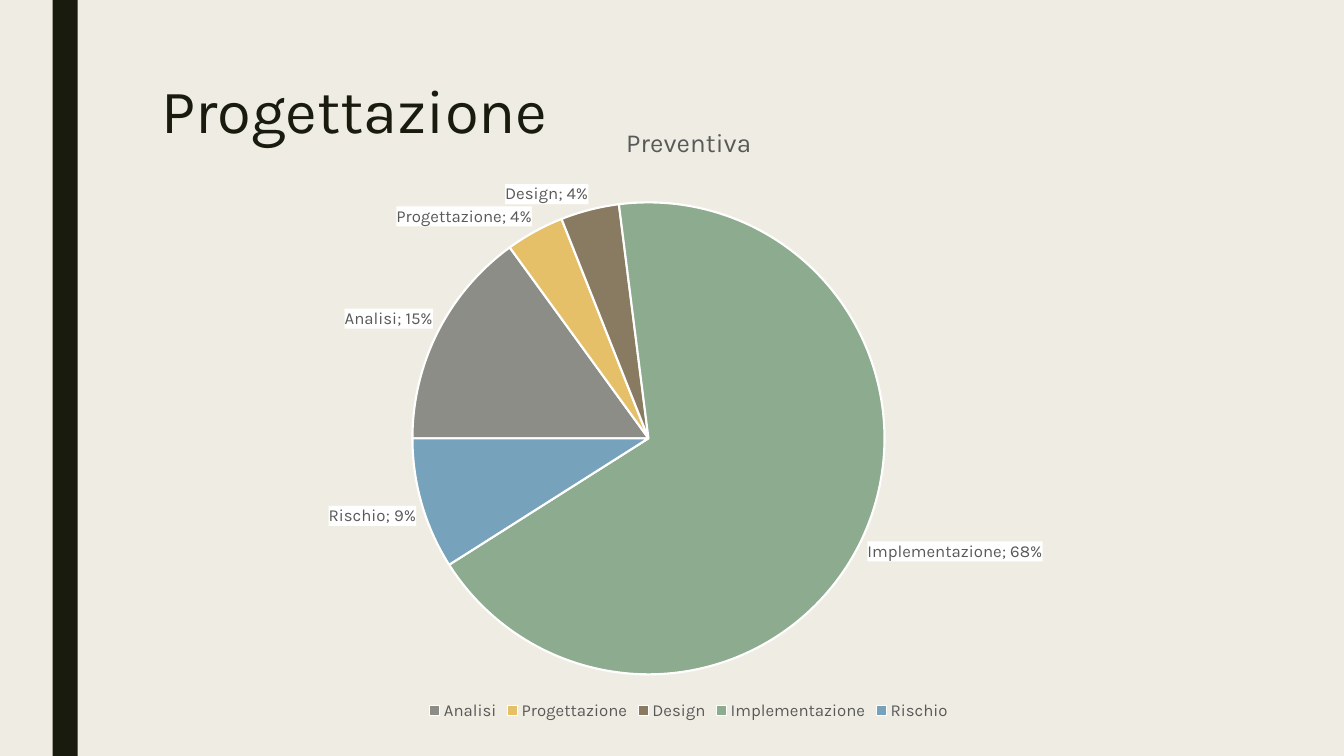
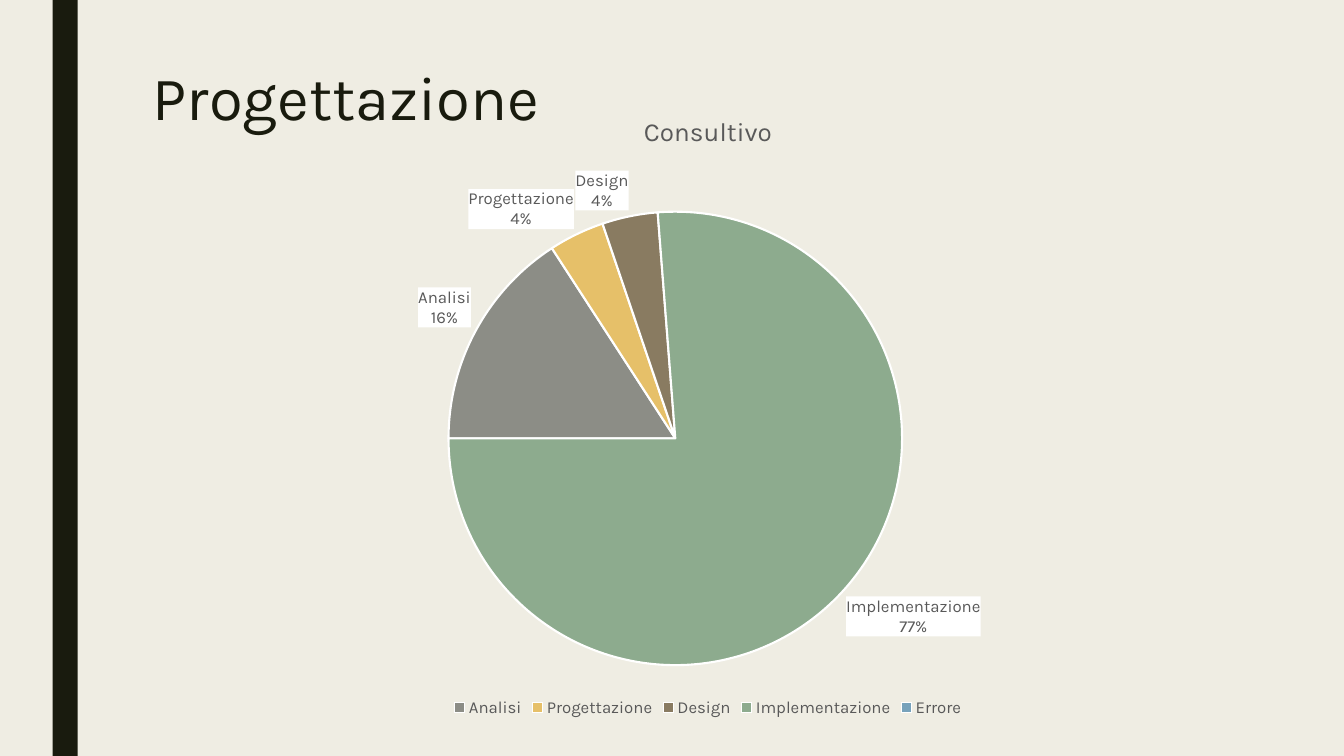
from pptx import Presentation
from pptx.chart.data import CategoryChartData
from pptx.dml.color import RGBColor
from pptx.enum.chart import XL_CHART_TYPE, XL_LABEL_POSITION, XL_LEGEND_POSITION
from pptx.enum.shapes import MSO_SHAPE
from pptx.enum.text import MSO_ANCHOR
from pptx.oxml import parse_xml
from pptx.oxml.ns import nsdecls
from pptx.util import Inches, Pt

COLUMNS, ROWS = 160, 90
WIDTH, HEIGHT = Inches(13.33), Inches(7.5)
FONT = "Karla"
PAPER = RGBColor(0xEF, 0xED, 0xE3)
INK = RGBColor(0x19, 0x1B, 0x0E)
GREY = RGBColor(0x59, 0x59, 0x59)
WHITE = RGBColor(0xFF, 0xFF, 0xFF)
SLICES = (
    RGBColor(0x8C, 0x8D, 0x86),
    RGBColor(0xE6, 0xC0, 0x69),
    RGBColor(0x89, 0x7B, 0x61),
    RGBColor(0x8D, 0xAB, 0x8E),
    RGBColor(0x77, 0xA2, 0xBB),
)
PHASES = ("Analisi", "Progettazione", "Design", "Implementazione")


def place(box):
    """Turn a box of grid columns and rows into slide lengths."""
    left, top, width, height = box
    return (
        round(left * WIDTH / COLUMNS),
        round(top * HEIGHT / ROWS),
        round(width * WIDTH / COLUMNS),
        round(height * HEIGHT / ROWS),
    )


def style_font(font, size, color):
    """Give a font the deck's typeface with a size and colour."""
    font.name = FONT
    font.size = Pt(size)
    font.bold = False
    font.color.rgb = color


def add_text(frame, text, size, color, line_spacing=None):
    """Write one formatted paragraph into a text frame."""
    para = frame.paragraphs[0]
    para.line_spacing = line_spacing
    span = para.add_run()
    span.text = text
    style_font(span.font, size, color)


def add_band(page, box):
    """Draw the dark vertical band."""
    band = page.shapes.add_shape(MSO_SHAPE.RECTANGLE, *place(box))
    band.shadow.inherit = False
    band.fill.solid()
    band.fill.fore_color.rgb = INK
    band.line.fill.background()


def add_title(page, box, text):
    """Write the slide title at the top of its box."""
    frame = page.shapes.add_textbox(*place(box)).text_frame
    frame.word_wrap = True
    frame.vertical_anchor = MSO_ANCHOR.TOP
    add_text(frame, text, 44, INK, line_spacing=0.89)


def set_plot_layout(chart, box, pie):
    """Fix the pie's square as shares of the chart box."""
    left, top, width, height = box
    pie_left, pie_top, size = pie
    shares = {
        "x": (pie_left - left) / width,
        "y": (pie_top - top) / height,
        "w": size / width,
        "h": size / height,
    }
    values = "".join(f'<c:{key} val="{share:.4f}"/>' for key, share in shares.items())
    plot_area = chart.element.xpath(".//c:plotArea")[0]
    for layout in plot_area.xpath("./c:layout"):
        plot_area.remove(layout)
    plot_area.insert(0, parse_xml(
        f'<c:layout {nsdecls("c")}><c:manualLayout><c:layoutTarget val="inner"/>'
        f'<c:xMode val="edge"/><c:yMode val="edge"/>{values}</c:manualLayout></c:layout>'
    ))


def set_first_angle(chart, degrees):
    """Rotate the start of the first slice."""
    pie = chart.element.xpath(".//c:pieChart")[0]
    for angle in pie.xpath("./c:firstSliceAng"):
        pie.remove(angle)
    pie.append(parse_xml(f'<c:firstSliceAng {nsdecls("c")} val="{degrees}"/>'))


def add_labels(chart, series, separator):
    """Label each slice that is not empty on a white ground."""
    labels = series.data_labels
    labels.show_category_name = True
    labels.show_value = True
    labels.show_percentage = False
    labels.number_format = '0"%"'
    labels.number_format_is_linked = False
    labels.position = XL_LABEL_POSITION.OUTSIDE_END
    style_font(labels.font, 12, GREY)
    node = chart.element.xpath(".//c:ser/c:dLbls")[0]
    node.xpath("./c:txPr")[0].addprevious(parse_xml(
        f'<c:spPr {nsdecls("c", "a")}><a:solidFill><a:srgbClr val="{WHITE}"/>'
        '</a:solidFill></c:spPr>'
    ))
    node.xpath("./c:showBubbleSize")[0].addnext(
        parse_xml(f'<c:separator {nsdecls("c")}>{separator}</c:separator>')
    )
    empty = [index for index, value in enumerate(series.values) if not value]
    for position, index in enumerate(empty):
        node.insert(position, parse_xml(
            f'<c:dLbl {nsdecls("c")}><c:idx val="{index}"/><c:delete val="1"/></c:dLbl>'
        ))


def add_pie(page, box, pie, name, categories, values, separator):
    """Add a pie chart with title, legend and slice labels."""
    data = CategoryChartData()
    data.categories = categories
    data.add_series(name, values)
    chart = page.shapes.add_chart(XL_CHART_TYPE.PIE, *place(box), data).chart
    style_font(chart.font, 10, GREY)
    chart.has_title = True
    add_text(chart.chart_title.text_frame, name, 18.6, GREY)
    chart.has_legend = True
    chart.legend.position = XL_LEGEND_POSITION.BOTTOM
    chart.legend.include_in_layout = False
    style_font(chart.legend.font, 12, GREY)
    plot = chart.plots[0]
    plot.vary_by_categories = True
    series = plot.series[0]
    for index, color in enumerate(SLICES):
        slice_format = series.points[index].format
        slice_format.fill.solid()
        slice_format.fill.fore_color.rgb = color
        slice_format.line.color.rgb = WHITE
        slice_format.line.width = Pt(1.5)
    add_labels(chart, series, separator)
    set_first_angle(chart, 270)
    set_plot_layout(chart, box, pie)


def add_chart_page(deck, title_at, **chart):
    """Build one slide with band, title and pie chart."""
    page = deck.slides.add_slide(deck.slide_layouts[6])
    page.background.fill.solid()
    page.background.fill.fore_color.rgb = PAPER
    add_band(page, (6.25, 0, 3, ROWS))
    add_title(page, (*title_at, 126, 19.5), "Progettazione")
    add_pie(page, **chart)


def main():
    """Build and save the deck."""
    deck = Presentation()
    deck.slide_width, deck.slide_height = WIDTH, HEIGHT
    add_chart_page(
        deck, (18, 9), box=(9.5, 12.25, 145, 74), pie=(49.1, 24.1, 56.2),
        name="Preventiva", categories=(*PHASES, "Rischio"),
        values=(15, 4, 4, 68, 9), separator="; ",
    )
    add_chart_page(
        deck, (17, 7.5), box=(26.9, 10.9, 114.8, 75), pie=(53.4, 25.2, 54),
        name="Consultivo", categories=(*PHASES, "Errore"),
        values=(16, 4, 4, 77, 0), separator="\n",
    )
    deck.save("out.pptx")


if __name__ == "__main__":
    main()
